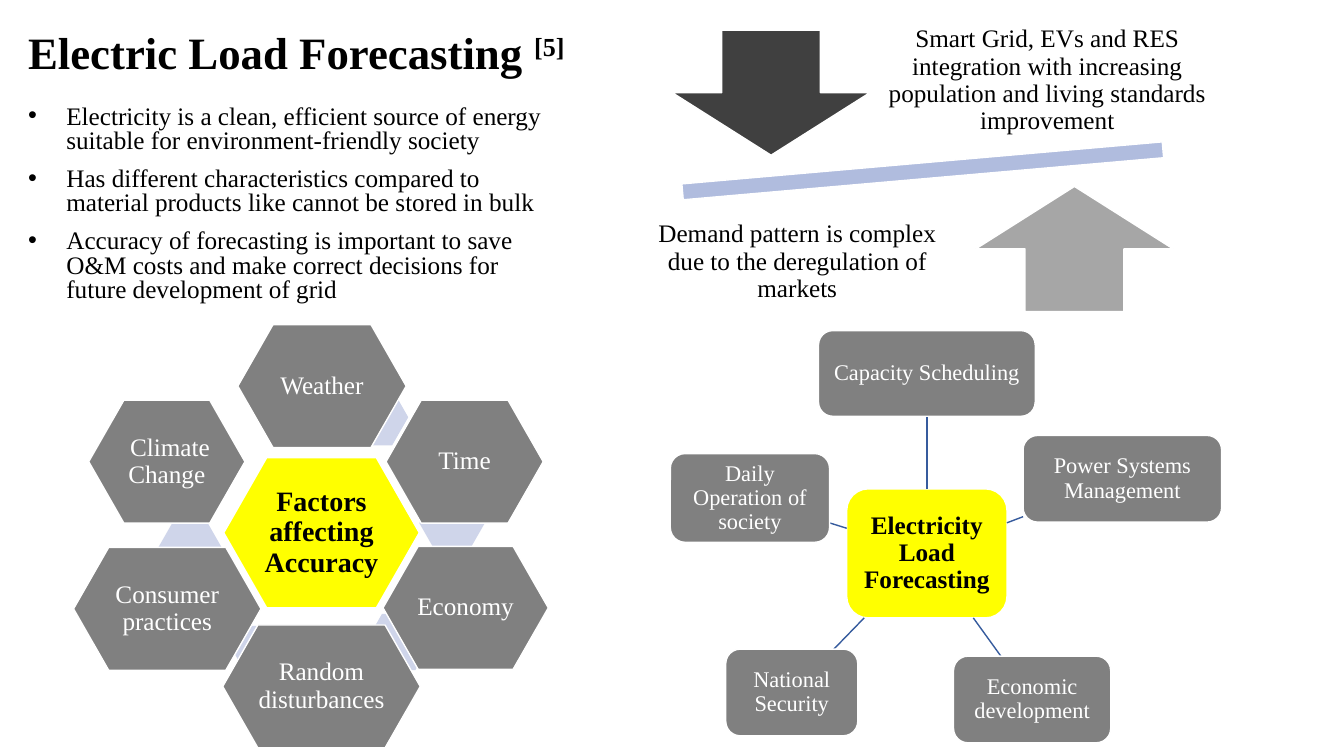
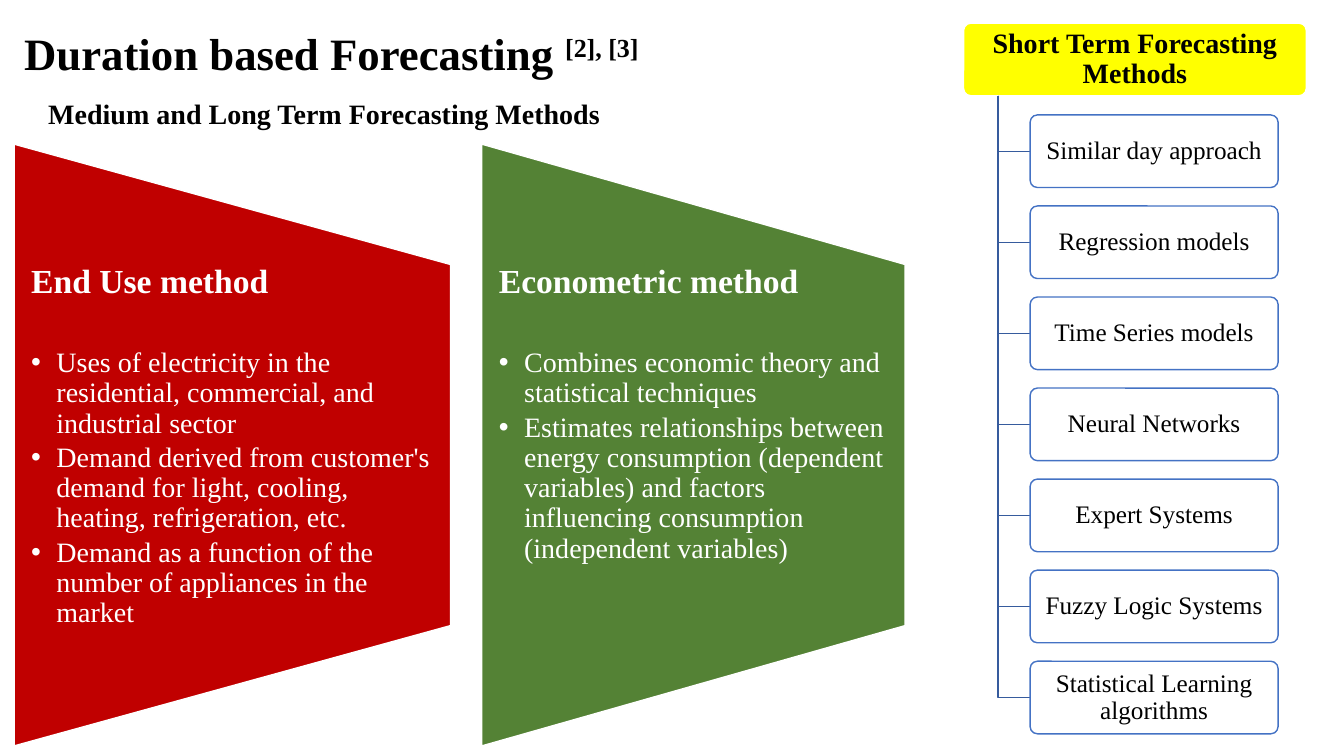
from lxml import etree
from pptx import Presentation
from pptx.dml.color import RGBColor
from pptx.enum import shapes, text
from pptx.oxml.ns import qn
from pptx.util import Pt

PX = 9144  # EMU per px, 100 px to the inch
FONT = "Times New Roman"
BLACK = RGBColor(0x00, 0x00, 0x00)
WHITE = RGBColor(0xFF, 0xFF, 0xFF)
YELLOW = RGBColor(0xFF, 0xFF, 0x00)
GREY = RGBColor(0x80, 0x80, 0x80)
DARK_GREY = RGBColor(0x40, 0x40, 0x40)
LIGHT_GREY = RGBColor(0xA6, 0xA6, 0xA6)
PALE_BLUE = RGBColor(0xCF, 0xD5, 0xEA)
BEAM_BLUE = RGBColor(0xB0, 0xBC, 0xDE)
LINE_BLUE = RGBColor(0x36, 0x5B, 0x9D)
EDGE_BLUE = RGBColor(0x44, 0x72, 0xC4)
RED = RGBColor(0xC0, 0x00, 0x00)
GREEN = RGBColor(0x54, 0x82, 0x35)

KIND = shapes.MSO_SHAPE
CENTER = text.PP_ALIGN.CENTER
LEFT = text.PP_ALIGN.LEFT
TOP = text.MSO_ANCHOR.TOP
MIDDLE = text.MSO_ANCHOR.MIDDLE


# Shared building blocks
def emu(*lengths):
    return [round(length * PX) for length in lengths]


def style_para(para, size, color, bold=False, align=LEFT, spacing=0.9):
    para.alignment = align
    para.line_spacing = spacing
    for span in para.runs:
        span.font.name = FONT
        span.font.size = Pt(size)
        span.font.bold = bold
        span.font.color.rgb = color


def add_bullet(para, indent):
    props = para._p.get_or_add_pPr()
    props.set("marL", str(indent * PX))
    props.set("indent", str(-indent * PX))
    etree.SubElement(props, qn("a:buFont")).set("typeface", "Arial")
    etree.SubElement(props, qn("a:buChar")).set("char", "•")


def set_frame(shape, insets, anchor):
    frame = shape.text_frame
    frame.word_wrap = True
    frame.vertical_anchor = anchor
    (frame.margin_left, frame.margin_top,
     frame.margin_right, frame.margin_bottom) = emu(*insets)
    return frame


def add_text(page, box, words, size, color=BLACK, bold=False, align=LEFT,
             spacing=0.9, insets=(10, 5, 10, 5), anchor=TOP):
    shape = page.shapes.add_textbox(*emu(*box))
    frame = set_frame(shape, insets, anchor)
    frame.text = words
    for para in frame.paragraphs:
        style_para(para, size, color, bold, align, spacing)
    return frame


def add_block(page, kind, box, fill, edge=WHITE, words="", size=18,
              color=WHITE, bold=False, inset=4, adjust=None):
    shape = page.shapes.add_shape(kind, *emu(*box))
    shape.shadow.inherit = False
    shape.fill.solid()
    shape.fill.fore_color.rgb = fill
    if edge is None:
        shape.line.fill.background()
    else:
        shape.line.color.rgb = edge
        shape.line.width = Pt(1)
    if adjust is not None:
        shape.adjustments[0] = adjust
    if words:
        frame = set_frame(shape, [inset] * 4, MIDDLE)
        frame.text = words
        style_para(frame.paragraphs[0], size, color, bold, CENTER)
    return shape


def add_line(page, start, end):
    line = page.shapes.add_connector(
        shapes.MSO_CONNECTOR.STRAIGHT, *emu(*start, *end))
    line.line.color.rgb = LINE_BLUE
    line.line.width = Pt(1)
    etree.SubElement(line._element.spPr, qn("a:effectLst"))


def add_corner(page, start, end):
    """Draw an open L that runs down first and then across."""
    builder = page.shapes.build_freeform(*emu(*start))
    builder.add_line_segments([emu(start[0], end[1]), emu(*end)], close=False)
    corner = builder.convert_to_shape()
    corner.shadow.inherit = False
    corner.fill.background()
    corner.line.color.rgb = LINE_BLUE
    corner.line.width = Pt(1)


def add_title(page, box, words, citation):
    frame = add_text(page, box, words, 32, bold=True, anchor=MIDDLE)
    para = frame.paragraphs[0]
    span = para.add_run()
    span.text = citation
    style_para(para, 32, BLACK, bold=True)
    span._r.get_or_add_rPr().set("baseline", "30000")


def middle(box):
    left, top, width, height = box
    return left + width / 2, top + height / 2


def edge_point(box, target):
    """Find where the line from the middle of a box to a target leaves it."""
    x, y = middle(box)
    across, down = target[0] - x, target[1] - y
    share = 1 / max(abs(across) / (box[2] / 2), abs(down) / (box[3] / 2))
    return x + across * share, y + down * share


# Load forecasting regions
def add_key_points(page, box, points):
    frame = add_text(page, box, "\n".join(points), 18, spacing=0.8)
    for para in frame.paragraphs:
        para.space_before = Pt(10)
        add_bullet(para, 38)


def add_balance(page, left, top):
    beam = add_block(page, KIND.MATH_MINUS,
                     (left, top + 121, 651, 67), BEAM_BLUE)
    beam.rotation = 355
    sides = [
        (KIND.DOWN_ARROW, DARK_GREY, (77, 15), (271, 0, 356, 130),
         "Smart Grid, EVs and RES integration with increasing population "
         "and living standards improvement"),
        (KIND.UP_ARROW, LIGHT_GREY, (378, 170), (44, 180, 314, 130),
         "Demand pattern is complex due to the deregulation of markets"),
    ]
    for kind, fill, (arrow_x, arrow_y), (x, y, width, height), words in sides:
        add_block(page, kind, (left + arrow_x, top + arrow_y, 196, 124), fill)
        add_text(page, (left + x, top + y, width, height), words, 18,
                 align=CENTER, insets=[14] * 4, anchor=MIDDLE)


def add_honeycomb(page, left, top):
    def add_cell(x, y, width, height, fill, **options):
        add_block(page, KIND.HEXAGON, (left + x, top + y, width, height),
                  fill, inset=3, adjust=0.286, **options)

    add_cell(149, 132, 194, 149, YELLOW, words="Factors affecting Accuracy",
             size=20, color=BLACK, bold=True)
    # Each factor: words, place, width and the pale cell behind it
    factors = [
        ("Weather", 163, 0, 167, (267, 64)),
        ("Time", 310, 75, 156, (343, 169)),
        ("Economy", 307, 220, 164, (290, 287)),
        ("Random disturbances", 148, 298, 196, (160, 299)),
        ("Consumer practices", 0, 221, 186, (83, 195)),
        (" Climate Change", 15, 75, 155, None),
    ]
    for words, x, y, width, pale in factors:
        if pale:
            add_cell(*pale, 65, 56, PALE_BLUE, edge=None)
        add_cell(x, y, width, 122, GREY, words=words)


def add_hub(page, left, top):
    hub = (left + 175, top + 157, 159, 128)
    add_block(page, KIND.ROUNDED_RECTANGLE, hub, YELLOW, color=BLACK,
              words="Electricity Load Forecasting", bold=True)
    nodes = [
        ("Capacity Scheduling", 147, 0, 215, 85),
        ("Power Systems Management", 350, 104, 197, 86),
        ("Economic development", 281, 323, 156, 86),
        ("National Security", 55, 316, 131, 86),
        ("Daily Operation of society", 0, 122, 158, 88),
    ]
    # Each spoke joins the edges along the line between the middles
    for words, x, y, width, height in nodes:
        box = (left + x, top + y, width, height)
        add_line(page, edge_point(hub, middle(box)),
                 edge_point(box, middle(hub)))
        add_block(page, KIND.ROUNDED_RECTANGLE, box, GREY,
                  words=words, size=16)


# Duration based regions
def add_method_panel(page, box, fill, heading, points):
    left, top, width, height = box
    # The trapezoid is turned, so its own width and height swap
    center_x, center_y = middle(box)
    panel = add_block(page, KIND.FLOWCHART_MANUAL_OPERATION,
                      (center_x - height / 2, center_y - width / 2,
                       height, width), fill)
    panel.rotation = 270
    frame = add_text(page, (left, top + height / 5, width, height * 3 / 5),
                     "\n".join([heading, *points]), 20, WHITE,
                     insets=(17, 0, 17, 0))
    first, *rest = frame.paragraphs
    style_para(first, 24, WHITE, bold=True)
    first.space_after = Pt(34)
    for para in rest:
        para.space_after = Pt(3)
        add_bullet(para, 25)


def add_method_list(page, box, heading, methods):
    left, top, width, height = box
    row_height, first_row = 72, 91
    step = (height - first_row - row_height) / (len(methods) - 1)
    trunk = left + 34
    row_left = left + 66
    add_block(page, KIND.ROUNDED_RECTANGLE, (left, top, width, row_height),
              YELLOW, words=heading, size=20, color=BLACK, bold=True,
              adjust=0.1)
    for i, method in enumerate(methods):
        row = top + first_row + step * i
        add_corner(page, (trunk, top + row_height),
                   (row_left, row + row_height / 2))
        add_block(page, KIND.ROUNDED_RECTANGLE,
                  (row_left, row, 246, row_height), WHITE, EDGE_BLUE,
                  method, color=BLACK, adjust=0.1)


# Slides
def build_load_slide(page):
    add_title(page, (18, 12, 591, 85), "Electric Load Forecasting ", "[5]")
    add_key_points(page, (18, 100, 549, 222), [
        "Electricity is a clean, efficient source of energy suitable for "
        "environment-friendly society",
        "Has different characteristics compared to material products like "
        "cannot be stored in bulk",
        "Accuracy of forecasting is important to save O&M costs and make "
        "correct decisions for future development of grid",
    ])
    add_hub(page, 665, 328)
    add_balance(page, 590, 15)
    add_honeycomb(page, 73, 322)


def build_duration_slide(page):
    add_title(page, (14, 10, 653, 92), "Duration based Forecasting ",
              "[2], [3]")
    add_method_panel(page, (14, 143, 433, 597), RED, "End Use method", [
        "Uses of electricity in the residential, commercial, and industrial "
        "sector",
        "Demand derived from customer's demand for light, cooling, heating, "
        "refrigeration, etc.",
        "Demand as a function of the number of appliances in the market",
    ])
    add_method_panel(page, (478, 143, 420, 597), GREEN, "Econometric method", [
        "Combines economic theory and statistical techniques",
        "Estimates relationships between energy consumption (dependent "
        "variables) and factors influencing consumption (independent "
        "variables)",
    ])
    subtitle = add_text(page, (38, 91, 572, 44),
                        "Medium and Long Term Forecasting Methods", 20,
                        bold=True, spacing=1.0)
    subtitle.word_wrap = False
    add_method_list(page, (956, 23, 340, 705),
                    "Short Term Forecasting Methods", [
                        "Similar day approach", "Regression models",
                        "Time Series models", "Neural Networks",
                        "Expert Systems", "Fuzzy Logic Systems",
                        "Statistical Learning algorithms"])


def main():
    deck = Presentation()
    deck.slide_width, deck.slide_height = emu(4000 / 3, 750)
    for build in (build_load_slide, build_duration_slide):
        build(deck.slides.add_slide(deck.slide_layouts[6]))
    deck.save("out.pptx")


if __name__ == "__main__":
    main()
